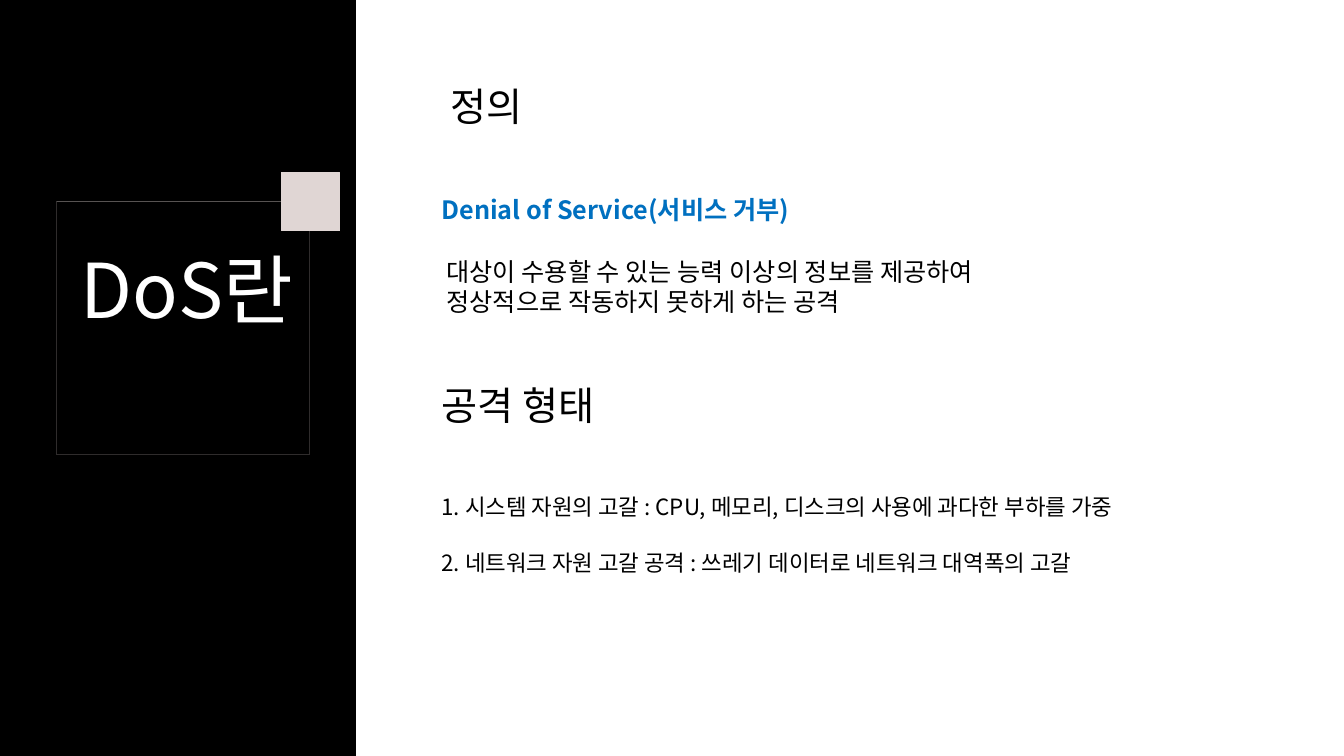
import pptx
import pptx.util
import pptx.dml.color
import pptx.enum.shapes
import pptx.enum.text
import pptx.oxml
import pptx.oxml.ns

Inches = pptx.util.Inches
FONT = "Noto Sans CJK KR"
COLORS = {
    "black": "000000",
    "white": "FFFFFF",
    "blush": "E0D6D4",
    "blue": "0070C0",
}


def color(name):
    return pptx.dml.color.RGBColor.from_string(COLORS[name])


def add_block(slide, box, line, fill=None, weight=1):
    block = slide.shapes.add_shape(
        pptx.enum.shapes.MSO_SHAPE.RECTANGLE, *map(Inches, box))
    block.shadow.inherit = False
    if fill:
        block.fill.solid()
        block.fill.fore_color.rgb = color(fill)
    else:
        block.fill.background()
    block.line.color.rgb = color(line)
    block.line.width = pptx.util.Pt(weight)
    return block


def add_text(slide, box, lines, size, ink="black", bold=False, centered=False):
    frame = slide.shapes.add_textbox(*map(Inches, box)).text_frame
    frame.word_wrap = True
    frame.auto_size = pptx.enum.text.MSO_AUTO_SIZE.SHAPE_TO_FIT_TEXT
    for index, line in enumerate(lines):
        paragraph = frame.add_paragraph() if index else frame.paragraphs[0]
        if centered:
            paragraph.alignment = pptx.enum.text.PP_ALIGN.CENTER
        run = paragraph.add_run()
        run.text = line
        run.font.size = pptx.util.Pt(size)
        run.font.bold = bold
        run.font.color.rgb = color(ink)
        run.font.name = FONT
        # Korean glyphs take the East Asian typeface
        east_asian = pptx.oxml.parse_xml(
            f'<a:ea {pptx.oxml.ns.nsdecls("a")} typeface="{FONT}"/>')
        run.font._element.find(pptx.oxml.ns.qn("a:latin")).addnext(east_asian)


def add_title_panel(slide, left, top, width, height):
    add_block(slide, (left, top, width, height), "black", "black")

    # Faint frame with an accent square on its corner
    frame = add_block(slide, (left + 0.56, top + 2, 2.51, 2.51), "blush", weight=0.25)
    frame_color = frame.line._ln.find(".//" + pptx.oxml.ns.qn("a:srgbClr"))
    frame_color.append(pptx.oxml.parse_xml(
        f'<a:alpha {pptx.oxml.ns.nsdecls("a")} val="60000"/>'))
    add_block(slide, (left + 2.79, top + 1.71, 0.58, 0.58), "blush", "blush")

    add_text(slide, (left + 0.67, top + 2.36, 2.37, 1.01), ["DoS란"], 54,
             "white", centered=True)


def add_definition(slide, left, top):
    add_text(slide, (left + 0.05, top, 0.99, 0.57), ["정의"], 28, centered=True)
    add_text(slide, (left, top + 1.11, 3.78, 0.4),
             ["Denial of Service(서비스 거부)"], 18, "blue", bold=True)
    add_text(slide, (left + 0.05, top + 1.72, 6.13, 0.71),
             ["대상이 수용할 수 있는 능력 이상의 정보를 제공하여",
              "정상적으로 작동하지 못하게 하는 공격"], 18)


def add_attack_types(slide, left, top, width):
    add_text(slide, (left, top, 1.91, 0.57), ["공격 형태"], 28)
    attacks = [
        "1. 시스템 자원의 고갈 : CPU, 메모리, 디스크의 사용에 과다한 부하를 가중",
        "2. 네트워크 자원 고갈 공격 : 쓰레기 데이터로 네트워크 대역폭의 고갈",
    ]
    for row, attack in enumerate(attacks):
        add_text(slide, (left, top + 1.11 + row * 0.56, width, 0.37), [attack], 16)


def main():
    deck = pptx.Presentation()
    deck.slide_width, deck.slide_height = Inches(13.33), Inches(7.5)
    slide = deck.slides.add_slide(deck.slide_layouts[6])
    slide.background.fill.solid()
    slide.background.fill.fore_color.rgb = color("white")

    add_title_panel(slide, 0, 0, 3.52, 7.5)
    add_definition(slide, 4.28, 0.77)
    add_attack_types(slide, 4.28, 3.73, 7.65)
    deck.save("out.pptx")


if __name__ == "__main__":
    main()
